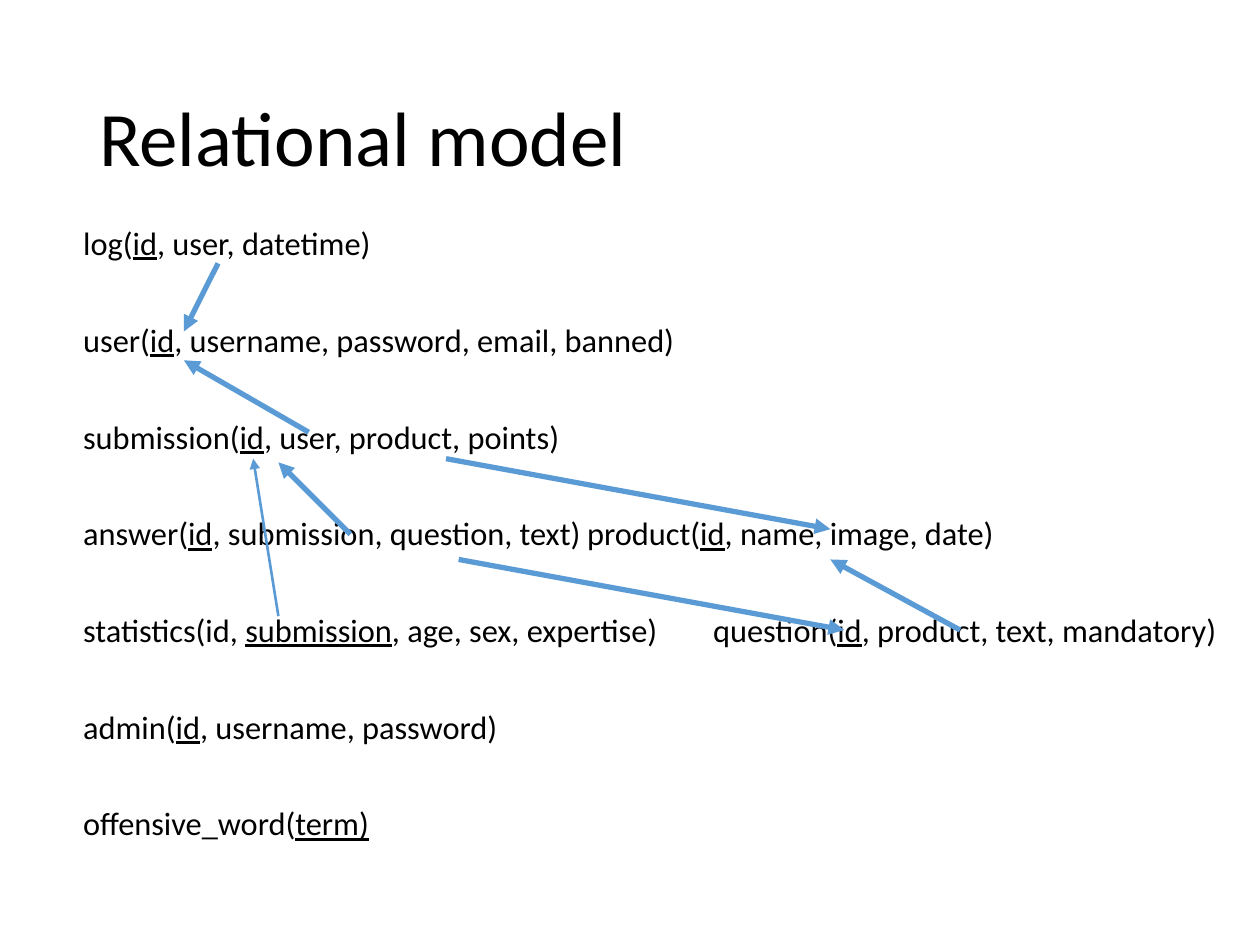
from dataclasses import dataclass

from lxml import etree
from pptx import Presentation
from pptx.dml.color import RGBColor
from pptx.enum.shapes import MSO_CONNECTOR
from pptx.enum.text import MSO_ANCHOR, MSO_AUTO_SIZE, PP_ALIGN
from pptx.oxml.ns import qn
from pptx.util import Pt

STRAIGHT = MSO_CONNECTOR.STRAIGHT
LEFT = PP_ALIGN.LEFT
TOP, MIDDLE = MSO_ANCHOR.TOP, MSO_ANCHOR.MIDDLE
NO_AUTOFIT = MSO_AUTO_SIZE.NONE


@dataclass(frozen=True)
class Theme:
    font: str = "Calibri"
    text: RGBColor = RGBColor(0x00, 0x00, 0x00)
    arrow: RGBColor = RGBColor(0x5B, 0x9B, 0xD5)
    title_size: float = 44
    body_size: float = 18.5


THEME = Theme()


def write(paragraph, text, *, size, line_spacing, space_before=0):
    """Fill a paragraph, underlining the parts that stand between asterisks."""
    paragraph.alignment = LEFT
    paragraph.line_spacing = line_spacing
    paragraph.space_before = Pt(space_before)
    for index, part in enumerate(text.split("*")):
        if not part:
            continue
        run = paragraph.add_run()
        run.text = part
        run.font.name = THEME.font
        run.font.size = Pt(size)
        run.font.color.rgb = THEME.text
        run.font.underline = index % 2 == 1


def place(placeholder, left, top, width, height, anchor):
    placeholder.left, placeholder.top = Pt(left), Pt(top)
    placeholder.width, placeholder.height = Pt(width), Pt(height)
    frame = placeholder.text_frame
    frame.word_wrap = True
    frame.auto_size = NO_AUTOFIT
    frame.vertical_anchor = anchor
    return frame


prs = Presentation()
prs.slide_width, prs.slide_height = Pt(720), Pt(540)
slide = prs.slides.add_slide(prs.slide_layouts[1])

heading = place(slide.shapes.title, 49.5, 28.75, 621, 104.4, MIDDLE)
write(heading.paragraphs[0], "Relational model",
      size=THEME.title_size, line_spacing=0.9)

# Relations, with primary keys between asterisks
relations = [
    "log(*id*, user, datetime)",
    "user(*id*, username, password, email, banned)",
    "submission(*id*, user, product, points)",
    "answer(*id*, submission, question, text)\tproduct(*id*, name, image, date)",
    "statistics(id, *submission*, age, sex, expertise)"
    "\tquestion(*id*, product, text, mandatory)",
    "admin(*id*, username, password)",
    "offensive_word(*term)*",
]
schema = place(slide.placeholders[1], 40.3, 128.2, 671, 383, TOP)
for row, relation in enumerate(relations):
    line = schema.paragraphs[0] if row == 0 else schema.add_paragraph()
    write(line, relation, size=THEME.body_size, line_spacing=0.8,
          space_before=10 if row == 0 else 37.5)
    properties = line._p.get_or_add_pPr()
    properties.set("marL", "0")
    properties.set("indent", "0")
    etree.SubElement(properties, qn("a:buNone"))

# Foreign keys: start, end, line width
references = [
    ((124.6, 150.5), (105.1, 189.4), 3),    # log.user -> user
    ((176.4, 247), (105.1, 205.9), 3),      # submission.user -> user
    ((548.6, 360), (474.5, 319.7), 3),      # question.product -> product
    ((262.1, 319.7), (482.4, 360), 3),      # answer.question -> question
    ((200.2, 305.3), (159.1, 264.2), 3),    # answer.submission -> submission
    ((254.9, 262.1), (474.5, 302.4), 3),    # submission.product -> product
    ((159.1, 352.1), (144.7, 262.1), 1.5),  # statistics.submission -> submission
]
for start, end, width in references:
    reference = slide.shapes.add_connector(
        STRAIGHT, *(Pt(value) for value in start + end))
    reference.line.color.rgb = THEME.arrow
    reference.line.width = Pt(width)
    etree.SubElement(reference.line._get_or_add_ln(), qn("a:tailEnd"), type="triangle")
    etree.SubElement(reference._element.spPr, qn("a:effectLst"))

prs.save("out.pptx")
